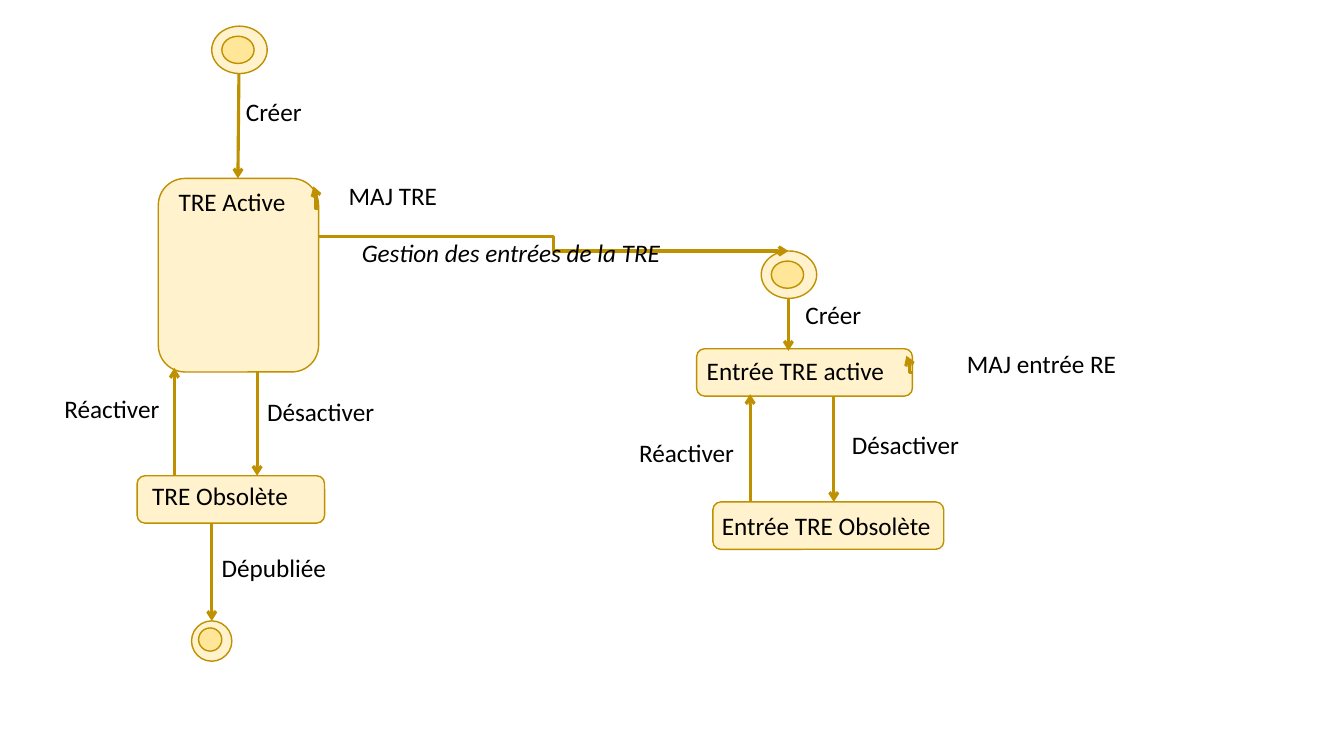
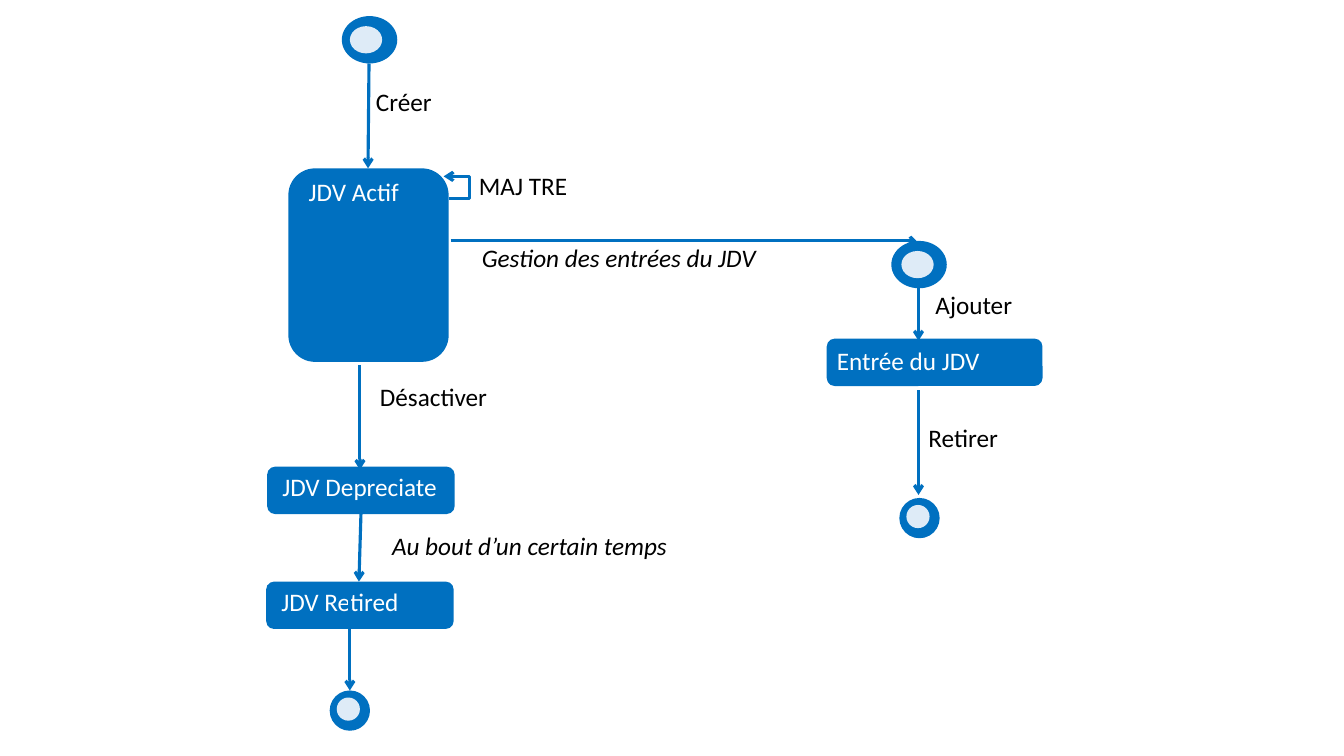
from dataclasses import dataclass, replace
from typing import Any

from lxml import etree
from pptx import Presentation
from pptx.dml.color import RGBColor
from pptx.enum.shapes import MSO_CONNECTOR as CONN, MSO_SHAPE as SHAPE
from pptx.enum.text import MSO_ANCHOR, PP_ALIGN
from pptx.oxml.ns import qn
from pptx.util import Pt

PX = 9144  # EMU per px, 100 px to the inch
STATE_W, STATE_H, ROW_H = 159, 192, 47


def px(*values):
    return [round(v * PX) for v in values]


@dataclass(frozen=True)
class Theme:
    fill: str
    core: str
    accent: str
    state_text: str
    outline: float
    label_text: str = "000000"
    font: str = "Calibri"
    size: int = 18
    arrow: float = 2.25


GOLD = Theme("FFF2CC", "FFE699", "BF9000", "000000", 1)
BLUE = Theme("0070C0", "DEEBF7", "0070C0", "FFFFFF", 0)


@dataclass(frozen=True)
class Region:
    """Part of a slide; all lengths are px from its own origin."""
    s: Any
    theme: Theme
    x: int = 0
    y: int = 0

    def at(self, x, y):
        return replace(self, x=self.x + x, y=self.y + y)

    def shape(self, kind, x, y, w, h, fill):
        sp = self.s.shapes.add_shape(kind, *px(self.x + x, self.y + y, w, h))
        sp.shadow.inherit = False
        sp.fill.solid()
        sp.fill.fore_color.rgb = RGBColor.from_string(fill)
        if self.theme.outline:
            sp.line.color.rgb = RGBColor.from_string(self.theme.accent)
            sp.line.width = Pt(self.theme.outline)
        else:
            sp.line.fill.background()
        return sp

    def set_text(self, tf, text, color, italic=False):
        tf.word_wrap = True
        tf.vertical_anchor = MSO_ANCHOR.TOP
        p = tf.paragraphs[0]
        p.text = text
        p.alignment = PP_ALIGN.LEFT
        p.font.name = self.theme.font
        p.font.size = Pt(self.theme.size)
        p.font.italic = italic
        p.font.color.rgb = RGBColor.from_string(color)

    def state(self, text, x, y, w, h=ROW_H, inset=(15, 5)):
        sp = self.shape(SHAPE.ROUNDED_RECTANGLE, x, y, w, h, self.theme.fill)
        corner = min(w, h) / 6 * 0.29  # a rounded shape already insets its text
        tf = sp.text_frame
        tf.margin_left, tf.margin_top = px(*(max(0, i - corner) for i in inset))
        tf.margin_right = tf.margin_bottom = 0
        self.set_text(tf, text, self.theme.state_text)

    def label(self, text, x, y, w, italic=False):
        tb = self.s.shapes.add_textbox(*px(self.x + x, self.y + y, w, 40))
        self.set_text(tb.text_frame, text, self.theme.label_text, italic)

    def start(self, x, y, inset=10):
        self.shape(SHAPE.OVAL, x, y, 55, 47, self.theme.fill)
        self.shape(SHAPE.OVAL, x + inset, y + 10, 32, 27, self.theme.core)

    def end(self, x, y):
        self.shape(SHAPE.OVAL, x, y, 40, 40, self.theme.fill)
        self.shape(SHAPE.OVAL, x + 7, y + 7, 23, 23, self.theme.core)

    def arrow(self, x1, y1, x2, y2, kind=CONN.STRAIGHT, preset=None, bend=None):
        cx = self.s.shapes.add_connector(
            kind, *px(self.x + x1, self.y + y1, self.x + x2, self.y + y2))
        cx.line.color.rgb = RGBColor.from_string(self.theme.accent)
        cx.line.width = Pt(self.theme.arrow)
        sp_pr = cx._element.spPr
        etree.SubElement(sp_pr.find(qn("a:ln")), qn("a:tailEnd"), type="arrow")
        etree.SubElement(sp_pr, qn("a:effectLst"))
        geom = sp_pr.find(qn("a:prstGeom"))
        if preset:
            geom.set("prst", preset)
        if bend is not None:
            guides = geom.find(qn("a:avLst"))
            if guides is None:
                guides = etree.SubElement(geom, qn("a:avLst"))
            etree.SubElement(guides, qn("a:gd"), name="adj1", fmla=f"val {bend}")


def active_state(r, name, inset=10, bend=None):
    """Start node, creation arrow, active state and its update loop."""
    r.start(53, -151, inset)
    r.state(name, 0, 0, STATE_W, STATE_H, (20, 6))
    r.arrow(80, -104, 79, 0)
    r.label("Créer", 77, -86, 82)
    r.arrow(STATE_W, 30, 154, 8, CONN.ELBOW, bend=bend)
    r.label("MAJ TRE", 179, -3, 202)


def entry_state(r, verb, name):
    """Start node of an entry, leading to its first state."""
    r.start(0, 0)
    r.state(name, -64, 97, 214, inset=(10, 7))
    r.arrow(27, 47, 27, 99)
    r.label(verb, 34, 43, 138)


def toggle(r, left, right, top, bottom, back_label, off_label):
    """Pair of opposite arrows between two stacked states."""
    r.arrow(right, top, right, bottom)
    r.arrow(left, bottom, left, top - 3)
    r.label("Réactiver", *back_label)
    r.label("Désactiver", *off_label)


def tre_life(r):
    active_state(r, "TRE Active")
    r.state("TRE Obsolète", -21, 295, 186)
    toggle(r, 16, 98, 191, 295, (-103, 208, 145), (98, 211, 145))
    r.end(33, 439)
    r.arrow(53, 342, 53, 439)
    r.label("Dépubliée", 53, 366, 137)


def tre_entry(r):
    entry_state(r, "Créer", "Entrée TRE active")
    r.state("Entrée TRE Obsolète", -48, 249, 229, inset=(9, 8))
    toggle(r, -11, 72, 145, 249, (-131, 180, 202), (80, 172, 145))
    r.arrow(150, 121, 144, 104, CONN.ELBOW)
    r.label("MAJ entrée RE", 194, 92, 202)


def jdv_life(r):
    active_state(r, "JDV Actif", inset=8, bend=-418800)
    r.state("JDV Depreciate", -21, 296, 186)
    r.arrow(71, 195, 71, 299)
    r.label("Désactiver", 81, 206, 145)
    r.state("JDV Retired", -22, 410, 186)
    r.arrow(72, 343, 70, 410)
    r.label("Au bout d’un certain temps", 93, 354, 320, italic=True)
    r.end(41, 518)
    r.arrow(61, 421, 61, 518)


def jdv_entry(r):
    entry_state(r, "Ajouter", "Entrée du JDV")
    r.arrow(27, 148, 27, 252)
    r.label("Retirer", 27, 175, 145)
    r.end(8, 255)


def tre_slide(s):
    r = Region(s, GOLD).at(157, 177)
    tre_life(r)
    tre_entry(r.at(598, 72))
    r.arrow(STATE_W, 58, 625, 72, CONN.ELBOW)
    r.label("Gestion des entrées de la TRE", 192, 54, 329, italic=True)


def jdv_slide(s):
    r = Region(s, BLUE).at(286, 167)
    jdv_life(r)
    jdv_entry(r.at(598, 72))
    r.arrow(161, 72, 625, 74, CONN.ELBOW, preset="bentConnector2")
    r.label("Gestion des entrées du JDV", 182, 69, 295, italic=True)


def main():
    prs = Presentation()
    prs.slide_width, prs.slide_height = px(1333, 750)
    for build in (tre_slide, jdv_slide):
        build(prs.slides.add_slide(prs.slide_layouts[6]))
    prs.save("out.pptx")


if __name__ == "__main__":
    main()
